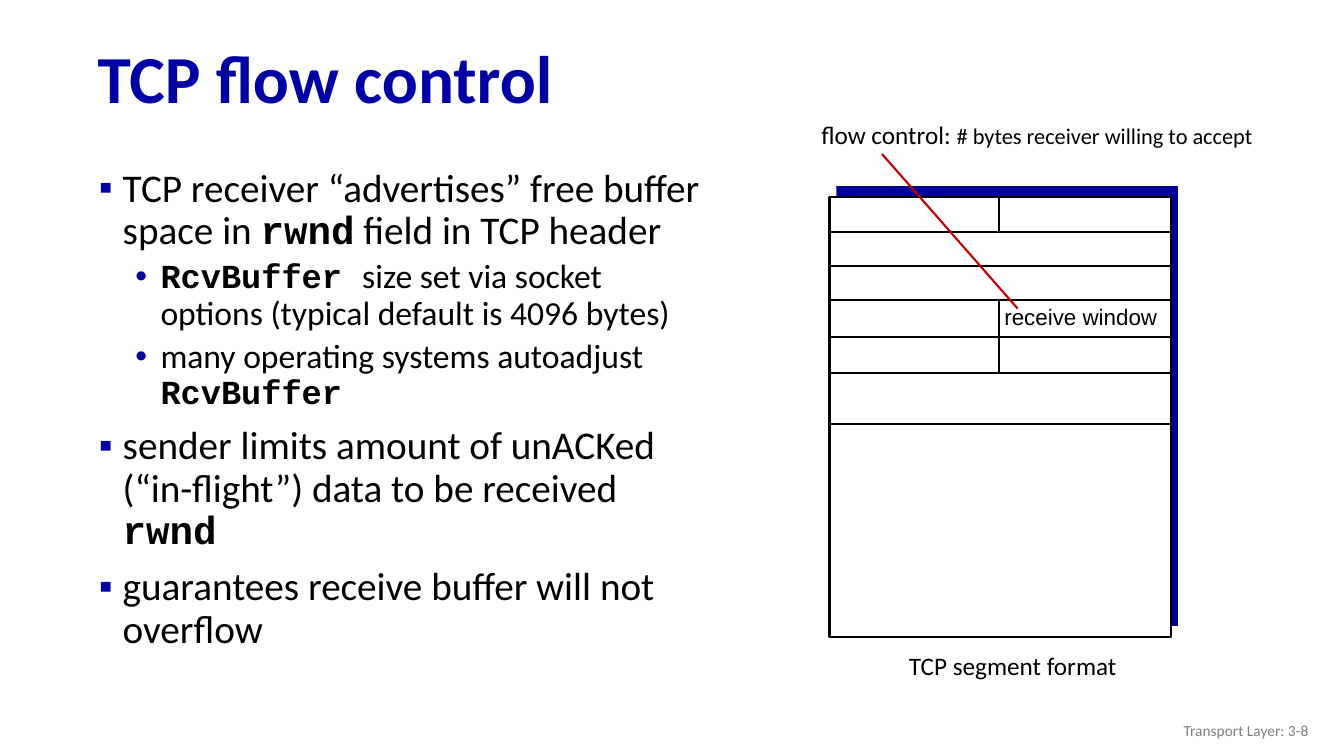
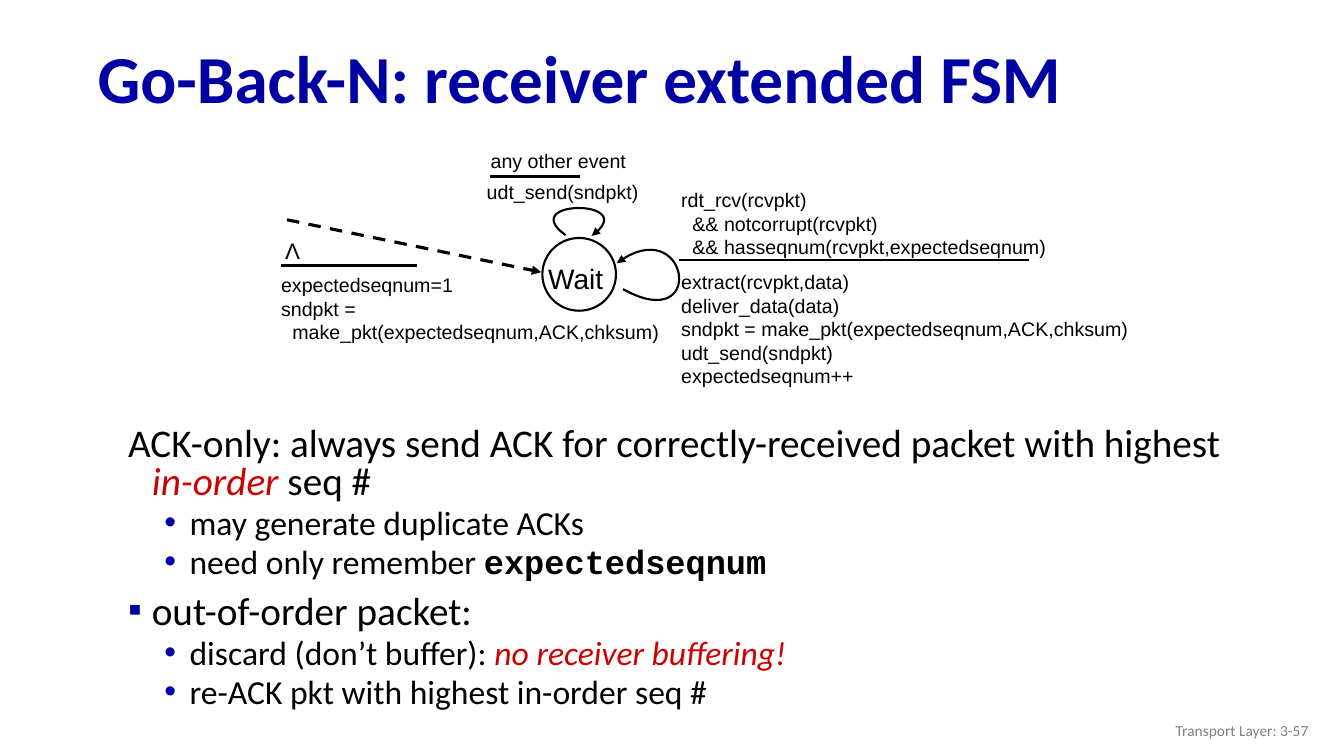
from itertools import accumulate

from lxml import etree
from pptx import Presentation
from pptx.dml.color import RGBColor
from pptx.enum import dml, shapes, text
from pptx.oxml.ns import qn
from pptx.util import Pt

BLACK, WHITE, GREY = "000000", "FFFFFF", "808080"
TITLE_BLUE, BULLET_BLUE, SHADE_BLUE = "0000A3", "0000A8", "000099"
EMPH_RED, POINTER_RED = "CC0000", "C00000"
BODY, LABEL, CODE = "Calibri", "Arial", "Courier New"
LEFT, CENTER, RIGHT = text.PP_ALIGN.LEFT, text.PP_ALIGN.CENTER, text.PP_ALIGN.RIGHT

# level: (size, left indent, hanging indent, space before, bullet, bullet colour)
LEVELS = [(28, 28, 17, 10, "▪", TITLE_BLUE),
          (24, 55, 18, 5, "•", BULLET_BLUE)]


def rgb(color):
    return RGBColor.from_string(color)


def style(p, size, font=BODY, color=BLACK, bold=False):
    for r in p.runs:
        f = r.font
        f.size, f.name, f.bold = Pt(size), font, bold
        f.color.rgb = rgb(color)


def add_box(slide, x, y, w, h, middle=False):
    tf = slide.shapes.add_textbox(Pt(x), Pt(y), Pt(w), Pt(h)).text_frame
    tf.word_wrap = True
    tf.vertical_anchor = text.MSO_ANCHOR.MIDDLE if middle else text.MSO_ANCHOR.TOP
    return tf


def add_line_of_text(slide, box, words, size, font=BODY, color=BLACK, bold=False,
                     align=LEFT, spacing=1.0, middle=False):
    p = add_box(slide, *box, middle=middle).paragraphs[0]
    p.text = words
    p.alignment, p.line_spacing = align, spacing
    style(p, size, font, color, bold)
    return p


def add_code(slide, box, lines):
    """Label of several lines; a line given as a tuple is indented."""
    tf = add_box(slide, *box)
    tf.text = "\n".join(l if isinstance(l, str) else l[0] for l in lines)
    for p, line in zip(tf.paragraphs, lines):
        style(p, 14, LABEL)
        if not isinstance(line, str):
            p._p.get_or_add_pPr().set("marL", str(Pt(8)))


def set_bullet(p, left, hanging, char, color):
    pPr = p._p.get_or_add_pPr()
    pPr.set("marL", str(Pt(left)))
    pPr.set("indent", str(Pt(-hanging)))
    if not char:
        etree.SubElement(pPr, qn("a:buNone"))
        return
    clr = etree.SubElement(pPr, qn("a:buClr"))
    etree.SubElement(clr, qn("a:srgbClr"), val=color)
    etree.SubElement(pPr, qn("a:buFont"), typeface=LABEL)
    etree.SubElement(pPr, qn("a:buChar"), char=char)


def add_bullets(slide, box, items, spacing):
    """Items are (level, bulleted, runs); a run is (words, kind)."""
    tf = add_box(slide, *box)
    for i, (level, bulleted, runs) in enumerate(items):
        p = tf.add_paragraph() if i else tf.paragraphs[0]
        size, left, hanging, before, char, color = LEVELS[level]
        p.level, p.line_spacing, p.space_before = level, spacing, Pt(before)
        set_bullet(p, left, hanging, char if bulleted else None, color)
        for words, _ in runs:
            p.add_run().text = words
        style(p, size)
        for r, (_, kind) in zip(p.runs, runs):
            if kind == "code":
                r.font.name, r.font.bold = CODE, True
            elif kind == "emph":
                r.font.italic = True
                r.font.color.rgb = rgb(EMPH_RED)


def set_line(sp, width, color=BLACK, dashed=False, arrow=False):
    sp.line.width = Pt(width)
    sp.line.color.rgb = rgb(color)
    if dashed:
        sp.line.dash_style = dml.MSO_LINE.DASH
    if arrow:
        ln = sp._element.spPr.find(qn("a:ln"))
        etree.SubElement(ln, qn("a:tailEnd"), type="triangle")


def add_line(slide, x1, y1, x2, y2, width=1.5, **look):
    cxn = slide.shapes.add_connector(
        shapes.MSO_CONNECTOR.STRAIGHT, Pt(x1), Pt(y1), Pt(x2), Pt(y2))
    set_line(cxn, width, **look)
    etree.SubElement(cxn._element.spPr, qn("a:effectLst"))


def add_shape(slide, kind, x, y, w, h, fill, outlined=True):
    sp = slide.shapes.add_shape(kind, Pt(x), Pt(y), Pt(w), Pt(h))
    sp.shadow.inherit = False
    sp.fill.solid()
    sp.fill.fore_color.rgb = rgb(fill)
    if outlined:
        set_line(sp, 1.5)
    else:
        sp.line.fill.background()
    return sp


def add_loop(slide, *ctrl, steps=32):
    """Arrow along the cubic Bezier curve through four control points."""
    def point(t):
        weights = ((1 - t) ** 3, 3 * t * (1 - t) ** 2, 3 * t * t * (1 - t), t ** 3)
        return tuple(Pt(sum(k * c[axis] for k, c in zip(weights, ctrl)))
                     for axis in (0, 1))

    start, *rest = [point(i / steps) for i in range(steps + 1)]
    builder = slide.shapes.build_freeform(*start)
    builder.add_line_segments(rest, close=False)
    sp = builder.convert_to_shape()
    sp.shadow.inherit = False
    sp.fill.background()
    set_line(sp, 1.5, arrow=True)


def new_slide(prs, title, number):
    slide = prs.slides.add_slide(prs.slide_layouts[6])
    add_line_of_text(slide, (62.6, 23, 880, 70.6), title, 48, color=TITLE_BLUE,
                     bold=True, spacing=0.9, middle=True)
    add_line_of_text(slide, (725.8, 507.6, 216, 28.8), f"Transport Layer: 3-{number}",
                     11, color=GREY, align=RIGHT, middle=True)
    return slide


def draw_segment(slide):
    left, top, width, height = 592.5, 141, 244, 314
    right, mid = left + width, left + 121
    rect = shapes.MSO_SHAPE.RECTANGLE
    add_shape(slide, rect, left + 5, top - 8, width, height, SHADE_BLUE, outlined=False)
    add_shape(slide, rect, left, top, width, height, WHITE)
    rows = list(accumulate([24.5, 24.5, 24.5, 26, 26, 36.5], initial=top))
    for y in rows[1:]:
        add_line(slide, left, y, right, y)
    for first, last in ((0, 1), (3, 5)):
        add_line(slide, mid, rows[first], mid, rows[last])
    add_line_of_text(slide, (702, 213, 140, 27), "receive window", 16, LABEL, align=CENTER)
    add_line(slide, 727, 220.5, 630, 110, color=POINTER_RED)
    p = add_line_of_text(slide, (579.6, 84.2, 343, 27), "flow control: ", 18, spacing=0.9)
    r = p.add_run()
    r.text = "# bytes receiver willing to accept"
    style(p, 18)
    r.font.size = Pt(16)
    add_line_of_text(slide, (642.2, 463.7, 182, 27), "TCP segment format", 18, spacing=0.9)


def draw_fsm(slide):
    state = add_shape(slide, shapes.MSO_SHAPE.OVAL, 387.4, 170, 52.6, 52, WHITE)
    tf = state.text_frame
    tf.word_wrap = False
    tf.margin_left = tf.margin_bottom = 0
    tf.margin_top, tf.margin_right = Pt(5), Pt(5)
    tf.vertical_anchor = text.MSO_ANCHOR.MIDDLE
    tf.text = "Wait"
    tf.paragraphs[0].alignment = CENTER
    style(tf.paragraphs[0], 20, LABEL)

    # start
    add_line(slide, 205, 157, 386.6, 194.4, 2.25, dashed=True, arrow=True)
    add_line_of_text(slide, (196.6, 165.6, 30, 27), "Λ", 16, LABEL)
    add_line(slide, 201, 189.4, 298, 189.4, 2.25)
    add_code(slide, (193.7, 191.5, 300, 60),
             ["expectedseqnum=1", "sndpkt =",
              ("make_pkt(expectedseqnum,ACK,chksum)",)])

    # any other event
    add_code(slide, (343.4, 103, 131, 20), ["any other event"])
    add_line(slide, 350, 126, 414, 126, 2.25)
    add_code(slide, (340.6, 124.6, 128, 24), ["udt_send(sndpkt)"])
    add_loop(slide, (404, 168), (368, 142), (459.4, 142), (422.6, 168.5))

    # expected packet
    add_loop(slide, (445, 206.6), (506, 240.5), (491.8, 149.8), (440.6, 188))
    add_code(slide, (479.5, 131, 300, 58),
             ["rdt_rcv(rcvpkt)", ("&& notcorrupt(rcvpkt)",),
              ("&& hasseqnum(rcvpkt,expectedseqnum)",)])
    add_line(slide, 485.3, 185.8, 735, 185.8)
    add_code(slide, (479.5, 189.4, 345, 90),
             ["extract(rcvpkt,data)", "deliver_data(data)",
              "sndpkt = make_pkt(expectedseqnum,ACK,chksum)",
              "udt_send(sndpkt)", "expectedseqnum++"])


def main():
    prs = Presentation()
    prs.slide_width, prs.slide_height = Pt(960), Pt(540)

    slide = new_slide(prs, "TCP flow control", 8)
    add_bullets(slide, (52.6, 116.6, 458.6, 386.6), [
        (0, True, [("TCP receiver “advertises” free buffer space in ", ""),
                   ("rwnd", "code"), (" field in TCP header", "")]),
        (1, True, [("RcvBuffer ", "code"),
                   ("size set via socket options (typical default is 4096 bytes)", "")]),
        (1, True, [("many operating systems autoadjust ", ""), ("RcvBuffer", "code")]),
        (0, True, [("sender limits amount of unACKed (“in-flight”) data to be received ", ""),
                   ("rwnd", "code")]),
        (0, True, [("guarantees receive buffer will not overflow", "")]),
    ], 0.9)
    draw_segment(slide)

    slide = new_slide(prs, "Go-Back-N: receiver extended FSM", 57)
    draw_fsm(slide)
    add_bullets(slide, (73.4, 301.7, 812, 224.6), [
        (0, False, [("ACK-only: always send ACK for correctly-received packet with highest ", ""),
                    ("in-order", "emph"), (" seq #", "")]),
        (1, True, [("may generate duplicate ACKs", "")]),
        (1, True, [("need only remember ", ""), ("expectedseqnum", "code")]),
        (0, True, [("out-of-order packet:", "")]),
        (1, True, [("discard (don’t buffer): ", ""), ("no receiver buffering!", "emph")]),
        (1, True, [("re-ACK pkt with highest in-order seq #", "")]),
    ], 0.8)

    prs.save("out.pptx")


if __name__ == "__main__":
    main()
